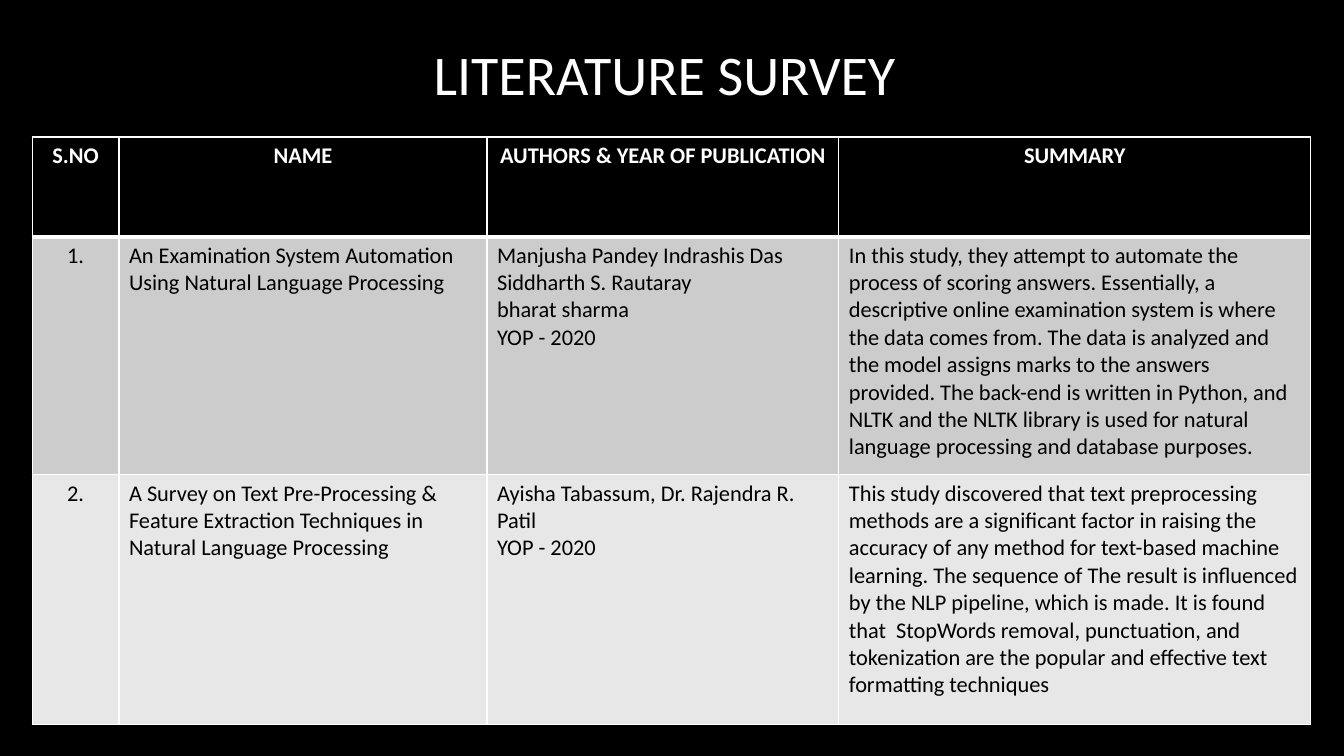
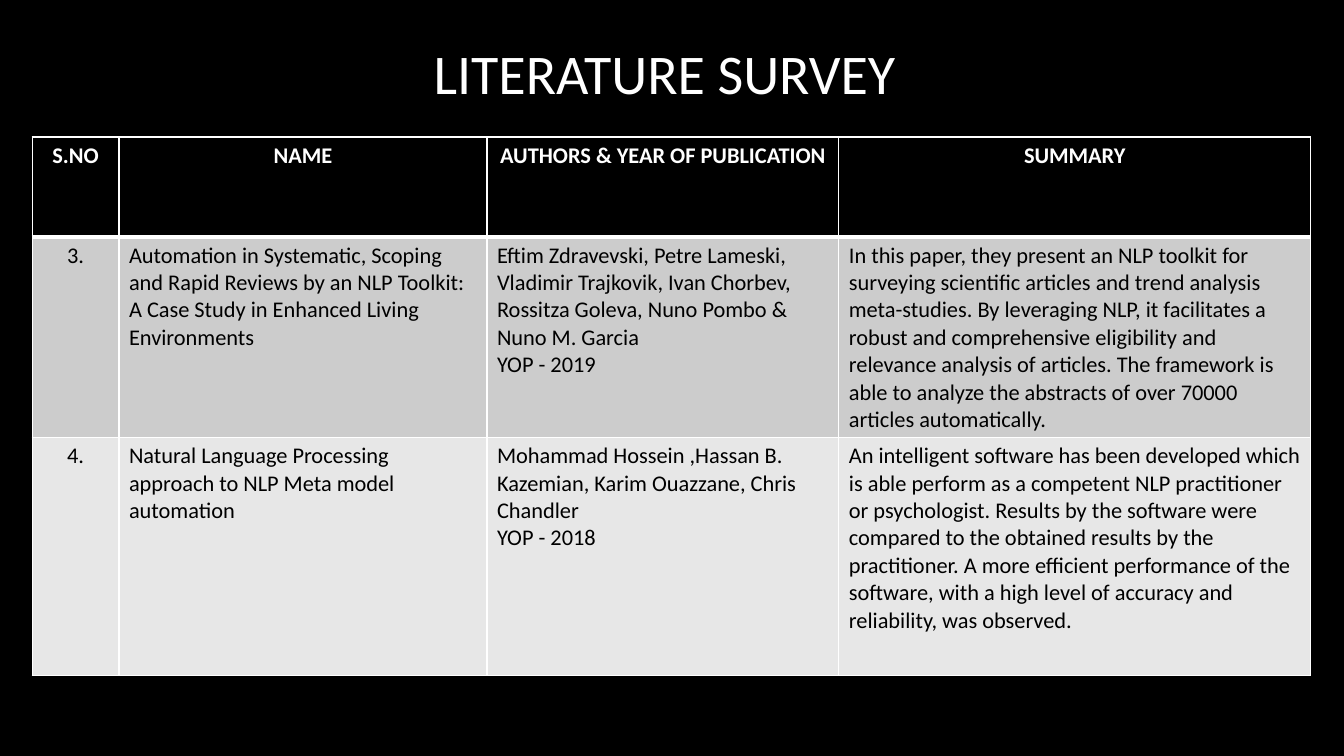
from lxml import etree
from pptx import Presentation
from pptx.dml.color import RGBColor
from pptx.enum.text import MSO_ANCHOR, PP_ALIGN
from pptx.oxml.ns import qn
from pptx.util import Inches, Pt

BLACK = RGBColor(0x00, 0x00, 0x00)
WHITE = RGBColor(0xFF, 0xFF, 0xFF)
ROW_FILLS = [BLACK, RGBColor(0xCC, 0xCC, 0xCC), RGBColor(0xE7, 0xE7, 0xE7)]
FONT = "Calibri"

# Content: each cell is a list of paragraphs
TITLE = "LITERATURE SURVEY"
HEADER = [["S.NO"], ["NAME"], ["AUTHORS & YEAR OF PUBLICATION"], ["SUMMARY"]]
COLUMN_WIDTHS = [0.86, 3.65, 3.49, 4.68]
SURVEYS = [
    {
        "title_top": 0.3,
        "row_heights": [0.99, 2.36, 2.48],
        "papers": [
            [
                ["1."],
                ["An Examination System Automation Using Natural Language Processing"],
                ["Manjusha Pandey Indrashis Das Siddharth S. Rautaray",
                 "bharat sharma", "YOP - 2020"],
                ["In this study, they attempt to automate the process of scoring answers. "
                 "Essentially, a descriptive online examination system is where the data "
                 "comes from. The data is analyzed and the model assigns marks to the "
                 "answers provided. The back-end is written in Python, and NLTK and the "
                 "NLTK library is used for natural language processing and database "
                 "purposes."],
            ],
            [
                ["2."],
                ["A Survey on Text Pre-Processing & Feature Extraction Techniques in "
                 "Natural Language Processing"],
                ["Ayisha Tabassum, Dr. Rajendra R. Patil", "YOP - 2020"],
                ["This study discovered that text preprocessing methods are a significant "
                 "factor in raising the accuracy of any method for text-based machine "
                 "learning. The sequence of The result is influenced by the NLP pipeline, "
                 "which is made. It is found that  StopWords removal, punctuation, and "
                 "tokenization are the popular and effective text formatting techniques"],
            ],
        ],
    },
    {
        "title_top": 0.29,
        "row_heights": [0.99, 1.99, 2.36],
        "papers": [
            [
                ["3."],
                ["Automation in Systematic, Scoping and Rapid Reviews by an NLP Toolkit: "
                 "A Case Study in Enhanced Living Environments"],
                ["Eftim Zdravevski, Petre Lameski, Vladimir Trajkovik, Ivan Chorbev, "
                 "Rossitza Goleva, Nuno Pombo & Nuno M. Garcia", "YOP - 2019"],
                ["In this paper, they present an NLP toolkit for surveying scientific "
                 "articles and trend analysis meta-studies. By leveraging NLP, it "
                 "facilitates a robust and comprehensive eligibility and relevance "
                 "analysis of articles. The framework is able to analyze the abstracts "
                 "of over 70000 articles automatically."],
            ],
            [
                ["4."],
                ["Natural Language Processing approach to NLP Meta model automation"],
                ["Mohammad Hossein ,Hassan B. Kazemian, Karim Ouazzane, Chris Chandler",
                 "YOP - 2018"],
                ["An intelligent software has been developed which is able perform as a "
                 "competent NLP practitioner or psychologist. Results by the software "
                 "were compared to the obtained results by the practitioner. A more "
                 "efficient performance of the software, with a high level of accuracy "
                 "and reliability, was observed."],
            ],
        ],
    },
]


def write(frame, lines, size, color, bold=False, align=PP_ALIGN.LEFT):
    for index, line in enumerate(lines):
        para = frame.paragraphs[0] if index == 0 else frame.add_paragraph()
        para.alignment = align
        span = para.add_run()
        span.text = line
        span.font.name = FONT
        span.font.size = Pt(size)
        span.font.bold = bold
        span.font.color.rgb = color


def add_borders(cell, bottom_width):
    """Draw white cell borders; lines come before the fill in the cell properties."""
    properties = cell._tc.get_or_add_tcPr()
    widths = {"a:lnL": 1, "a:lnR": 1, "a:lnT": 1, "a:lnB": bottom_width}
    for index, (side, width) in enumerate(widths.items()):
        line = etree.Element(qn(side), w=str(Pt(width)))
        fill = etree.SubElement(line, qn("a:solidFill"))
        etree.SubElement(fill, qn("a:srgbClr"), val=str(WHITE))
        properties.insert(index, line)


def add_title(page, top):
    box = page.shapes.add_textbox(Inches(0), Inches(top), Inches(13.18), Inches(0.86))
    box.text_frame.word_wrap = True
    box.text_frame.vertical_anchor = MSO_ANCHOR.MIDDLE
    write(box.text_frame, [TITLE], 40, WHITE, align=PP_ALIGN.CENTER)


def add_survey_table(page, papers, row_heights):
    rows = [HEADER] + papers
    table = page.shapes.add_table(
        len(rows), len(HEADER), Inches(0.32), Inches(1.36),
        Inches(sum(COLUMN_WIDTHS)), Inches(sum(row_heights))).table
    for column, width in zip(table.columns, COLUMN_WIDTHS):
        column.width = Inches(width)
    for r, (row, height) in enumerate(zip(rows, row_heights)):
        table.rows[r].height = Inches(height)
        is_header = r == 0
        for c, lines in enumerate(row):
            cell = table.cell(r, c)
            cell.fill.solid()
            cell.fill.fore_color.rgb = ROW_FILLS[r]
            # The header's bottom rule is shared with the row below it
            add_borders(cell, 3 if is_header else 1)
            if r == 1:
                cell._tc.tcPr.find(qn("a:lnT")).set("w", str(Pt(3)))
            centered = is_header or c == 0
            write(cell.text_frame, lines, 16, WHITE if is_header else BLACK,
                  bold=is_header,
                  align=PP_ALIGN.CENTER if centered else PP_ALIGN.LEFT)


def main():
    deck = Presentation()
    deck.slide_width, deck.slide_height = Inches(13.33), Inches(7.5)
    for survey in SURVEYS:
        page = deck.slides.add_slide(deck.slide_layouts[6])
        page.background.fill.solid()
        page.background.fill.fore_color.rgb = BLACK
        add_title(page, survey["title_top"])
        add_survey_table(page, survey["papers"], survey["row_heights"])
    deck.save("out.pptx")


if __name__ == "__main__":
    main()
